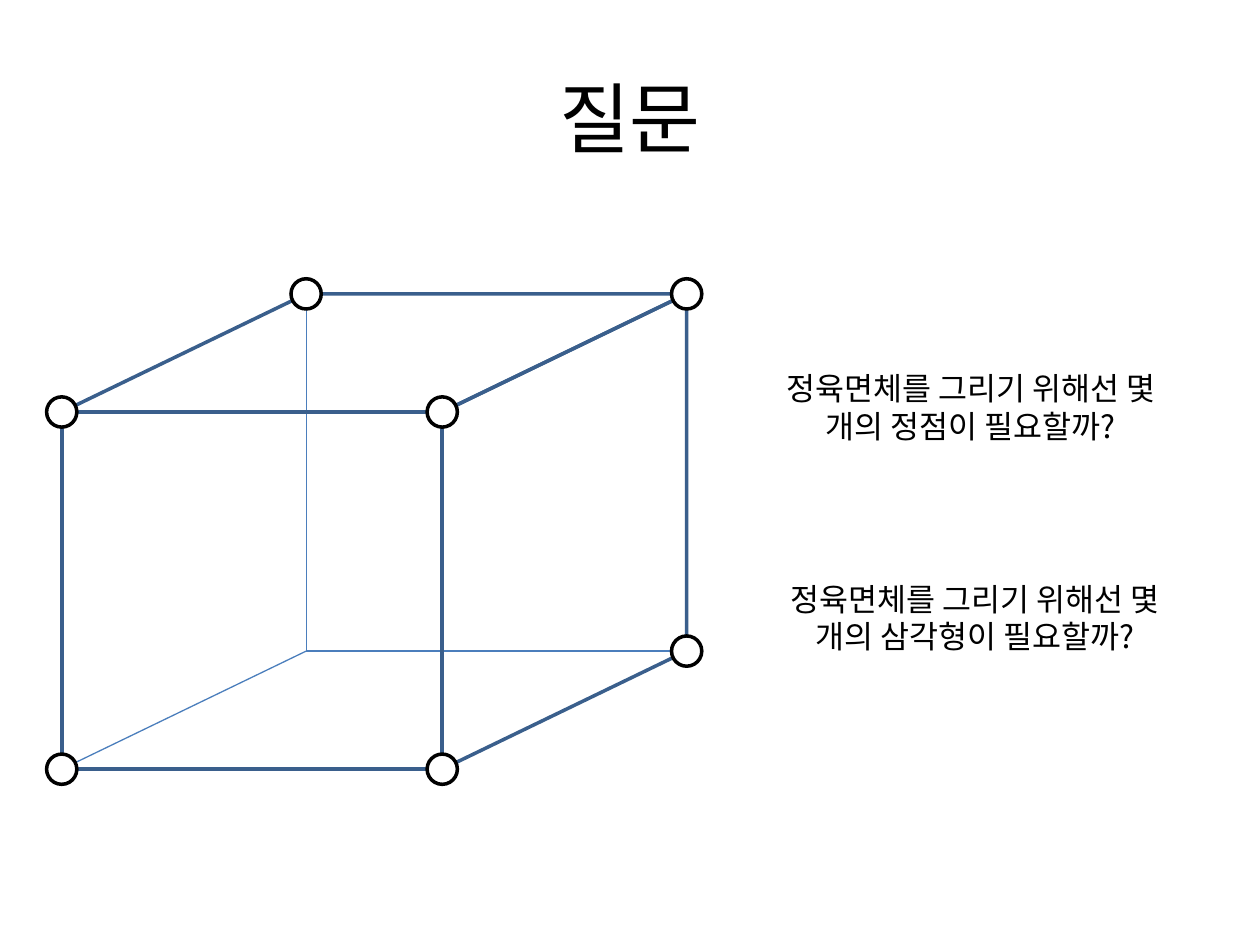
from dataclasses import dataclass

from lxml import etree
from pptx import Presentation
from pptx.dml.color import RGBColor
from pptx.enum.shapes import MSO_CONNECTOR, MSO_SHAPE
from pptx.enum.text import MSO_ANCHOR, PP_ALIGN
from pptx.oxml.ns import qn
from pptx.util import Inches, Pt

STRAIGHT = MSO_CONNECTOR.STRAIGHT
RECTANGLE = MSO_SHAPE.RECTANGLE
OVAL = MSO_SHAPE.OVAL
CENTER = PP_ALIGN.CENTER
MIDDLE = MSO_ANCHOR.MIDDLE
TOP = MSO_ANCHOR.TOP

SLIDE_WIDTH = Inches(10)
SLIDE_HEIGHT = Inches(7.5)
FONT = "Noto Sans CJK KR"
COLORS = {
    "text": "000000",
    "edge": "3A5F8C",
    "hidden_edge": "4B7EBC",
    "vertex_fill": "FFFFFF",
    "vertex_line": "000000",
}
CUBE_LEFT = 4.9
CUBE_TOP = 43.6
CUBE_WIDTH = 30.2
CUBE_HEIGHT = 37.8
DEPTH_RIGHT = 19.4
DEPTH_UP = 12.5
VERTEX_SIZE = Inches(0.24)


@dataclass(frozen=True)
class Corner:
    right: int
    down: int
    back: int

    def position(self) -> tuple[int, int]:
        x = CUBE_LEFT + self.right * CUBE_WIDTH + self.back * DEPTH_RIGHT
        y = CUBE_TOP + self.down * CUBE_HEIGHT - self.back * DEPTH_UP
        return across(x), downward(y)


@dataclass(frozen=True)
class Label:
    text: str
    left: float
    top: float
    width: float
    height: float
    size: int
    anchor: MSO_ANCHOR


FRONT = [Corner(0, 0, 0), Corner(1, 0, 0), Corner(1, 1, 0), Corner(0, 1, 0)]
BACK = [Corner(corner.right, corner.down, 1) for corner in FRONT]
HIDDEN_CORNER = BACK[3]
HIDDEN_NEIGHBORS = [BACK[0], FRONT[3], BACK[2]]
FACES = [
    [BACK[0], BACK[1], FRONT[1], FRONT[0]],
    [FRONT[1], BACK[1], BACK[2], FRONT[2]],
]
LABELS = [
    Label("질문", 5, 4, 90, 16.67, 44, MIDDLE),
    Label("정육면체를 그리기 위해선 몇 개의 정점이 필요할까?", 60.9, 38.4, 32.3, 9.4, 18, TOP),
    Label("정육면체를 그리기 위해선 몇 개의 삼각형이 필요할까?", 61.2, 60.67, 32.3, 9.4, 18, TOP),
]


def across(percent: float) -> int:
    return round(SLIDE_WIDTH * percent / 100)


def downward(percent: float) -> int:
    return round(SLIDE_HEIGHT * percent / 100)


def color(name: str) -> RGBColor:
    return RGBColor.from_string(COLORS[name])


def style_line(shape, name: str, width: float) -> None:
    shape.line.color.rgb = color(name)
    shape.line.width = Pt(width)


def style_face(shape) -> None:
    shape.shadow.inherit = False
    shape.fill.background()
    style_line(shape, "edge", 2)


def draw_hidden_edge(slide, start: Corner, end: Corner) -> None:
    connector = slide.shapes.add_connector(STRAIGHT, *start.position(), *end.position())
    style_line(connector, "hidden_edge", 0.75)
    etree.SubElement(connector._element.spPr, qn("a:effectLst"))


def draw_front(slide) -> None:
    left, top = FRONT[0].position()
    right, bottom = FRONT[2].position()
    style_face(slide.shapes.add_shape(RECTANGLE, left, top, right - left, bottom - top))


def draw_face(slide, corners: list[Corner]) -> None:
    points = [corner.position() for corner in corners]
    builder = slide.shapes.build_freeform(*points[0], scale=1.0)
    builder.add_line_segments(points[1:], close=True)
    style_face(builder.convert_to_shape())


def draw_vertex(slide, corner: Corner) -> None:
    x, y = corner.position()
    radius = VERTEX_SIZE // 2
    shape = slide.shapes.add_shape(OVAL, x - radius, y - radius, VERTEX_SIZE, VERTEX_SIZE)
    shape.shadow.inherit = False
    shape.fill.solid()
    shape.fill.fore_color.rgb = color("vertex_fill")
    style_line(shape, "vertex_line", 2)


def draw_label(slide, label: Label) -> None:
    shape = slide.shapes.add_textbox(
        across(label.left), downward(label.top), across(label.width), downward(label.height)
    )
    frame = shape.text_frame
    frame.word_wrap = True
    frame.vertical_anchor = label.anchor
    paragraph = frame.paragraphs[0]
    paragraph.alignment = CENTER
    run = paragraph.add_run()
    run.text = label.text
    run.font.size = Pt(label.size)
    run.font.color.rgb = color("text")
    run.font.name = FONT
    etree.SubElement(run._r.get_or_add_rPr(), qn("a:ea"), typeface=FONT)


def main() -> None:
    presentation = Presentation()
    presentation.slide_width = SLIDE_WIDTH
    presentation.slide_height = SLIDE_HEIGHT
    slide = presentation.slides.add_slide(presentation.slide_layouts[6])
    for neighbor in HIDDEN_NEIGHBORS:
        draw_hidden_edge(slide, neighbor, HIDDEN_CORNER)
    draw_front(slide)
    for face in FACES:
        draw_face(slide, face)
    for corner in FRONT + BACK:
        if corner != HIDDEN_CORNER:
            draw_vertex(slide, corner)
    for label in LABELS:
        draw_label(slide, label)
    presentation.save("out.pptx")


if __name__ == "__main__":
    main()
